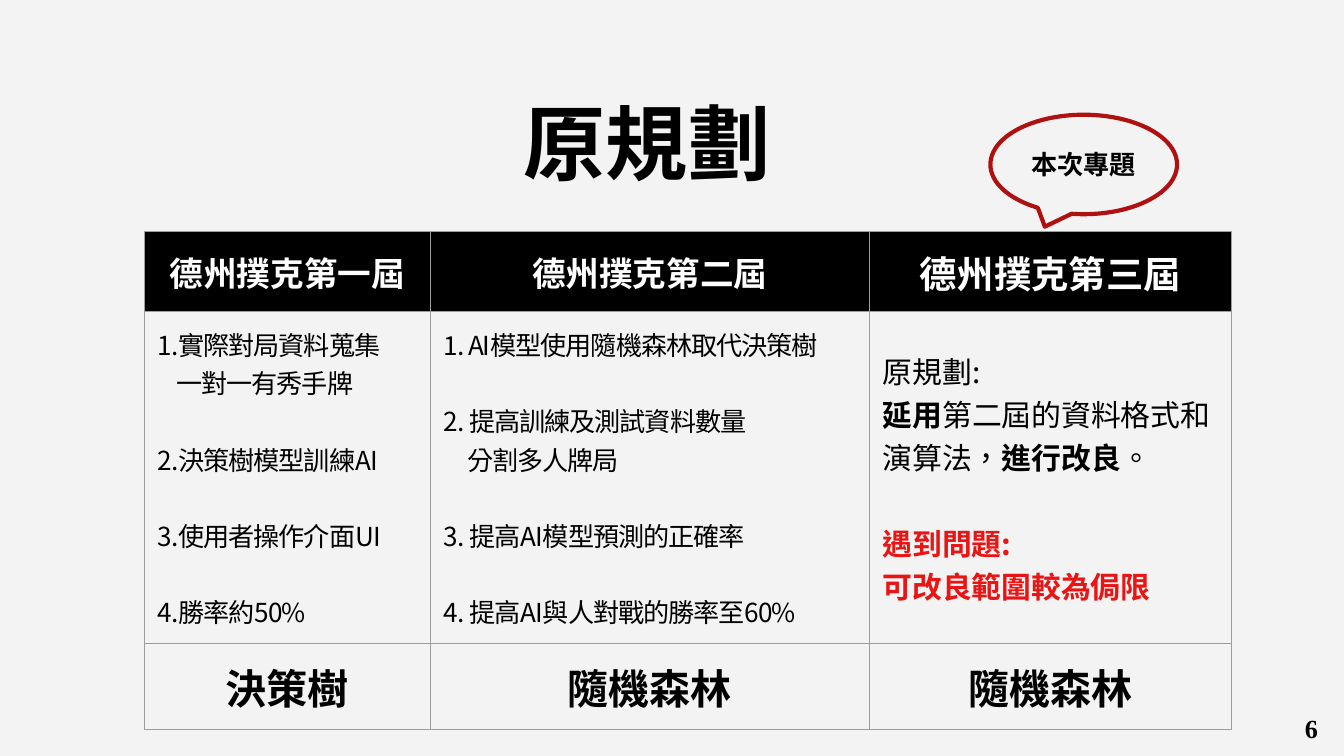
from lxml import etree
from pptx import Presentation
from pptx.dml.color import RGBColor
from pptx.enum.shapes import MSO_SHAPE
from pptx.enum.text import MSO_ANCHOR, PP_ALIGN
from pptx.oxml.ns import qn
from pptx.util import Pt

CENTER, LEFT, JUSTIFY = PP_ALIGN.CENTER, PP_ALIGN.LEFT, PP_ALIGN.JUSTIFY
MIDDLE, TOP = MSO_ANCHOR.MIDDLE, MSO_ANCHOR.TOP
CALLOUT = MSO_SHAPE.OVAL_CALLOUT

COLORS = {"page": "F3F3F3", "ink": "000000", "header": "000000", "header_text": "FFFFFF",
          "border": "9E9E9E", "callout": "AF1010", "problem": "E91515"}
FONT, NUMBER_FONT = "Noto Sans CJK SC", "Times New Roman"

TITLE, CALLOUT_TEXT, PAGE_NUMBER = "原規劃", "本次專題", "6"
HEADERS = [("德州撲克第一屆", 18), ("德州撲克第二屆", 18), ("德州撲克第三屆", 20)]
STEPS = [
    [["1.實際對局資料蒐集", "一對一有秀手牌"], ["2.決策樹模型訓練AI"],
     ["3.使用者操作介面UI"], ["4.勝率約50%"]],
    [["1. AI模型使用隨機森林取代決策樹"], ["2. 提高訓練及測試資料數量", "分割多人牌局"],
     ["3. 提高AI模型預測的正確率"], ["4. 提高AI與人對戰的勝率至60%"]],
]
STEP_INDENTS = [10, 12.5]
PLAN = [
    [["原規劃:"],
     [("延用", True), "第二屆的資料格式和演算法，", ("進行改良", True), "。"]],
    [[("遇到問題:", True)], [("可改良範圍較為侷限", True)]],
]
PLAN_COLORS = ["ink", "problem"]
METHODS = ["決策樹", "隨機森林", "隨機森林"]
COLUMN_WIDTHS = [153.2, 235.2, 194]
ROW_HEIGHTS = [43, 177.8, 46.2]


def write(frame, text, size=14, color="ink", bold=False, font=FONT, align=LEFT,
          gap=0, indent=0, spacing=0):
    para = frame.paragraphs[0]
    if para.runs:
        para = frame.add_paragraph()
    para.alignment = align
    para.space_before = Pt(gap)
    if indent:
        para._p.get_or_add_pPr().set("marL", str(Pt(indent)))
    for part in [text] if isinstance(text, str) else text:
        words, strong = (part, bold) if isinstance(part, str) else part
        span = para.add_run()
        span.text = words
        span.font.size, span.font.bold, span.font.name = Pt(size), strong, font
        span.font.color.rgb = RGBColor.from_string(COLORS[color])
        props = span._r.get_or_add_rPr()
        props.set("lang", "zh-TW")
        if spacing:
            props.set("spc", str(round(spacing * 100)))
        etree.SubElement(props, qn("a:ea")).set("typeface", font)


def set_margins(target, across=7.2, down=7.2):
    target.margin_left = target.margin_right = Pt(across)
    target.margin_top = target.margin_bottom = Pt(down)


def add_text_box(page, place, anchor, down, text, **style):
    frame = page.shapes.add_textbox(*map(Pt, place)).text_frame
    frame.word_wrap = True
    frame.vertical_anchor = anchor
    set_margins(frame, down=down)
    write(frame, text, **style)


def add_borders(cell):
    props = cell._tc.get_or_add_tcPr()
    for position, side in enumerate(("lnL", "lnR", "lnT", "lnB")):
        line = etree.Element(qn("a:" + side), w=str(Pt(0.75)))
        fill = etree.SubElement(line, qn("a:solidFill"))
        etree.SubElement(fill, qn("a:srgbClr"), val=COLORS["border"])
        props.insert(position, line)


def add_plan_table(page):
    table = page.shapes.add_table(3, 3, Pt(77.3), Pt(124), Pt(sum(COLUMN_WIDTHS)),
                                  Pt(sum(ROW_HEIGHTS))).table
    table.horz_banding = False
    for column, width in zip(table.columns, COLUMN_WIDTHS):
        column.width = Pt(width)
    for row, height in zip(table.rows, ROW_HEIGHTS):
        row.height = Pt(height)
    for cell in table.iter_cells():
        cell.fill.background()
        cell.vertical_anchor = MIDDLE
        set_margins(cell)
        add_borders(cell)

    for index, (text, size) in enumerate(HEADERS):
        cell = table.cell(0, index)
        cell.fill.solid()
        cell.fill.fore_color.rgb = RGBColor.from_string(COLORS["header"])
        write(cell.text_frame, text, size=size, color="header_text", bold=True, align=CENTER)

    for index, (steps, indent) in enumerate(zip(STEPS, STEP_INDENTS)):
        frame = table.cell(1, index).text_frame
        for number, lines in enumerate(steps):
            for order, line in enumerate(lines):
                write(frame, line, align=JUSTIFY, spacing=-0.6,
                      gap=20.4 if number and not order else 0,
                      indent=indent if order else 0)

    plan_cell = table.cell(1, 2)
    for number, (lines, color) in enumerate(zip(PLAN, PLAN_COLORS)):
        for order, line in enumerate(lines):
            write(plan_cell.text_frame, line, size=16, color=color,
                  gap=23 if number and not order else 0)

    for index, method in enumerate(METHODS):
        write(table.cell(2, index).text_frame, method, size=22, bold=True, align=CENTER)
    for row in (1, 2):
        set_margins(table.cell(row, 2), down=3.6)


def add_callout(page):
    bubble = page.shapes.add_shape(CALLOUT, Pt(530.6), Pt(61.5), Pt(100), Pt(53.3))
    bubble.shadow.inherit = False
    bubble.fill.background()
    bubble.line.color.rgb = RGBColor.from_string(COLORS["callout"])
    bubble.line.width = Pt(2.25)
    bubble.text_frame.vertical_anchor = MIDDLE
    write(bubble.text_frame, CALLOUT_TEXT, bold=True, align=CENTER)


def main():
    deck = Presentation()
    deck.slide_width, deck.slide_height = Pt(720), Pt(405)
    page = deck.slides.add_slide(deck.slide_layouts[6])
    page.background.fill.solid()
    page.background.fill.fore_color.rgb = RGBColor.from_string(COLORS["page"])
    add_text_box(page, (172.8, 63.4, 347.8, 24.5), MIDDLE, 7.2, TITLE,
                 size=44, bold=True, align=CENTER)
    add_plan_table(page)
    add_callout(page)
    add_text_box(page, (692, 378, 23, 24.5), TOP, 3.6, PAGE_NUMBER,
                 bold=True, font=NUMBER_FONT)
    deck.save("out.pptx")


if __name__ == "__main__":
    main()
